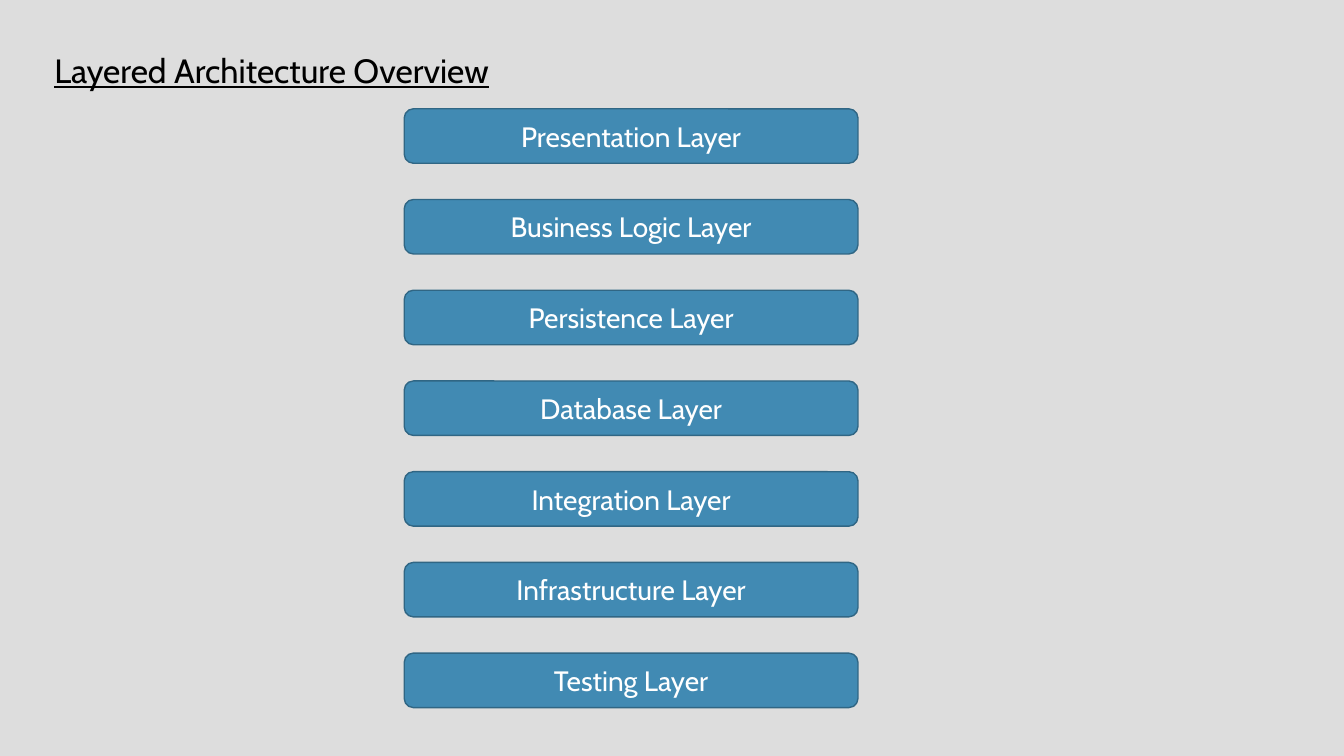
from pptx import Presentation
from pptx.dml.color import RGBColor as RGB
from pptx.enum.shapes import MSO_SHAPE as Kind
from pptx.enum.text import MSO_ANCHOR as Anchor, MSO_AUTO_SIZE as Fit, PP_ALIGN as Align
from pptx.util import Inches, Pt

GREY = RGB(0xDD, 0xDD, 0xDD)
BLUE = RGB(0x41, 0x8A, 0xB3)
EDGE = RGB(0x30, 0x66, 0x84)
BLACK = RGB(0, 0, 0)
WHITE = RGB(255, 255, 255)

LEFT, TOP = 4.01, 1.08
WIDE, HIGH = 4.5, 0.54
STEP = 0.9
LAYERS = ["Presentation", "Business Logic", "Persistence", "Database",
          "Integration", "Infrastructure", "Testing"]


def write(shape, text, size, color, align=Align.LEFT, anchor=Anchor.TOP, under=None):
    frame = shape.text_frame
    frame.word_wrap = True
    frame.vertical_anchor = anchor
    line = frame.paragraphs[0]
    line.alignment = align
    run = line.add_run()
    run.text = text
    font = run.font
    font.name = "Cabin"
    font.size = Pt(size)
    font.color.rgb = color
    font.underline = under


deck = Presentation()
deck.slide_width = Inches(13.33)
deck.slide_height = Inches(7.5)
slide = deck.slides.add_slide(deck.slide_layouts[6])
slide.background.fill.solid()
slide.background.fill.fore_color.rgb = GREY

title = slide.shapes.add_textbox(Inches(0.44), Inches(0.45), Inches(5.95), Inches(0.5))
write(title, "Layered Architecture Overview", 24, BLACK, under=True)
title.text_frame.auto_size = Fit.SHAPE_TO_FIT_TEXT

for row, name in enumerate(LAYERS):
    box = slide.shapes.add_shape(Kind.ROUNDED_RECTANGLE, Inches(LEFT),
                                 Inches(TOP + row * STEP), Inches(WIDE), Inches(HIGH))
    box.shadow.inherit = False
    box.fill.solid()
    box.fill.fore_color.rgb = BLUE
    box.line.color.rgb = EDGE
    box.line.width = Pt(1)
    write(box, f"{name} Layer", 20, WHITE, align=Align.CENTER, anchor=Anchor.MIDDLE)

deck.save("out.pptx")
